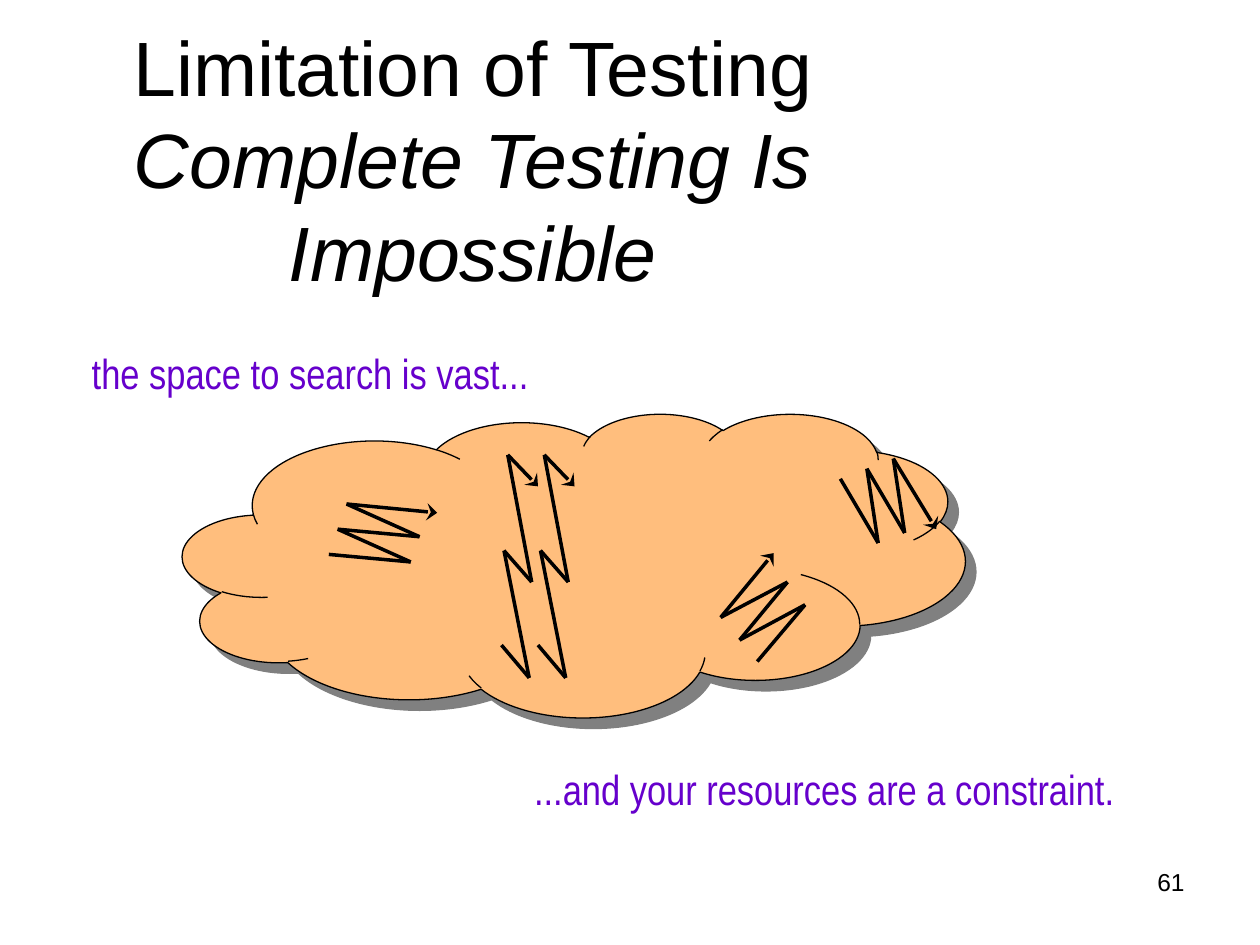
"""Build the slide on why complete testing is impossible."""
import pptx
import pptx.util
import pptx.dml.color
import pptx.enum.shapes
import pptx.enum.text
import pptx.oxml
import pptx.oxml.ns

Inches = pptx.util.Inches
ALIGN = pptx.enum.text.PP_ALIGN
ANCHOR = pptx.enum.text.MSO_ANCHOR

BLACK, PURPLE, ORANGE = "000000", "6600CC", "FFBE7D"

TEXTS = [
    dict(box=(0.42, 0.42, 6.67, 1.67), size=44, align=ALIGN.CENTER, anchor=ANCHOR.MIDDLE,
         runs=[("Limitation of Testing ", False), ("Complete Testing Is Impossible", True)]),
    dict(box=(0.63, 2.5, 3.76, 0.91), size=24, font="Arial Narrow", color=PURPLE, wrap=False,
         anchor=ANCHOR.MIDDLE, runs=[("the space to search is vast...", False)]),
    dict(box=(4.14, 5.77, 4.9, 0.98), size=24, font="Arial Narrow", color=PURPLE, wrap=False,
         anchor=ANCHOR.MIDDLE, runs=[("...and your resources are a constraint.", False)]),
    dict(box=(7.17, 6.83, 2.33, 0.52), size=14, align=ALIGN.RIGHT, runs=[("61", False)]),
]

CLOUD = (1.45, 3.28, 6.21, 2.41)

STEEP_SEARCH = [(3.98, 5.12), (4.2, 5.38), (4, 4.37), (4.22, 4.62), (4.03, 3.61), (4.27, 3.86)]
SEARCHES = [
    [(2.61, 4.4), (3.26, 4.46), (2.68, 4.2), (3.33, 4.26), (2.75, 4), (3.47, 4.07)],
    [(6.01, 5.25), (6.39, 4.8), (5.87, 5.08), (6.25, 4.62), (5.72, 4.9), (6.14, 4.39)],
    STEEP_SEARCH,
    [(6.67, 3.8), (6.97, 4.31), (6.88, 3.72), (7.18, 4.23), (7.09, 3.64), (7.43, 4.2)],
    [(x + 0.29, y) for x, y in STEEP_SEARCH],
]


def rgb(color):
    return pptx.dml.color.RGBColor.from_string(color)


def add_xml(parent, xml):
    parent.append(pptx.oxml.parse_xml(xml.replace(">", f" {pptx.oxml.ns.nsdecls('a')}>", 1)))


def add_text(slide, box, size, runs, font="Arial", color=BLACK, wrap=True,
             align=ALIGN.LEFT, anchor=ANCHOR.TOP):
    frame = slide.shapes.add_textbox(*map(Inches, box)).text_frame
    frame.word_wrap = wrap
    frame.vertical_anchor = anchor
    paragraph = frame.paragraphs[0]
    paragraph.alignment = align
    for words, italic in runs:
        run = paragraph.add_run()
        run.text = words
        run.font.name = font
        run.font.size = pptx.util.Pt(size)
        run.font.italic = italic
        run.font.color.rgb = rgb(color)


def add_cloud(slide):
    cloud = slide.shapes.add_shape(pptx.enum.shapes.MSO_SHAPE.CLOUD, *map(Inches, CLOUD))
    cloud.fill.solid()
    cloud.fill.fore_color.rgb = rgb(ORANGE)
    cloud.line.color.rgb = rgb(BLACK)
    cloud.line.width = pptx.util.Pt(0.75)
    add_xml(cloud._element.spPr,
            f'<a:effectLst><a:outerShdw dist="{pptx.util.Pt(8.5)}" dir="2700000" algn="ctr" '
            'rotWithShape="0"><a:srgbClr val="808080"/></a:outerShdw></a:effectLst>')


def add_search(slide, points):
    for start, end in zip(points, points[1:]):
        stroke = slide.shapes.add_connector(
            pptx.enum.shapes.MSO_CONNECTOR.STRAIGHT, *map(Inches, start + end))
        stroke.line.color.rgb = rgb(BLACK)
        stroke.line.width = pptx.util.Pt(2)
        add_xml(stroke._element.spPr, "<a:effectLst></a:effectLst>")
    add_xml(stroke.line._get_or_add_ln(), '<a:tailEnd type="stealth" w="lg" len="med"></a:tailEnd>')


def main():
    deck = pptx.Presentation()
    deck.slide_width, deck.slide_height = Inches(10), Inches(7.5)
    slide = deck.slides.add_slide(deck.slide_layouts[6])
    add_cloud(slide)
    for points in SEARCHES:
        add_search(slide, points)
    for text in TEXTS:
        add_text(slide, **text)
    deck.save("out.pptx")


if __name__ == "__main__":
    main()
